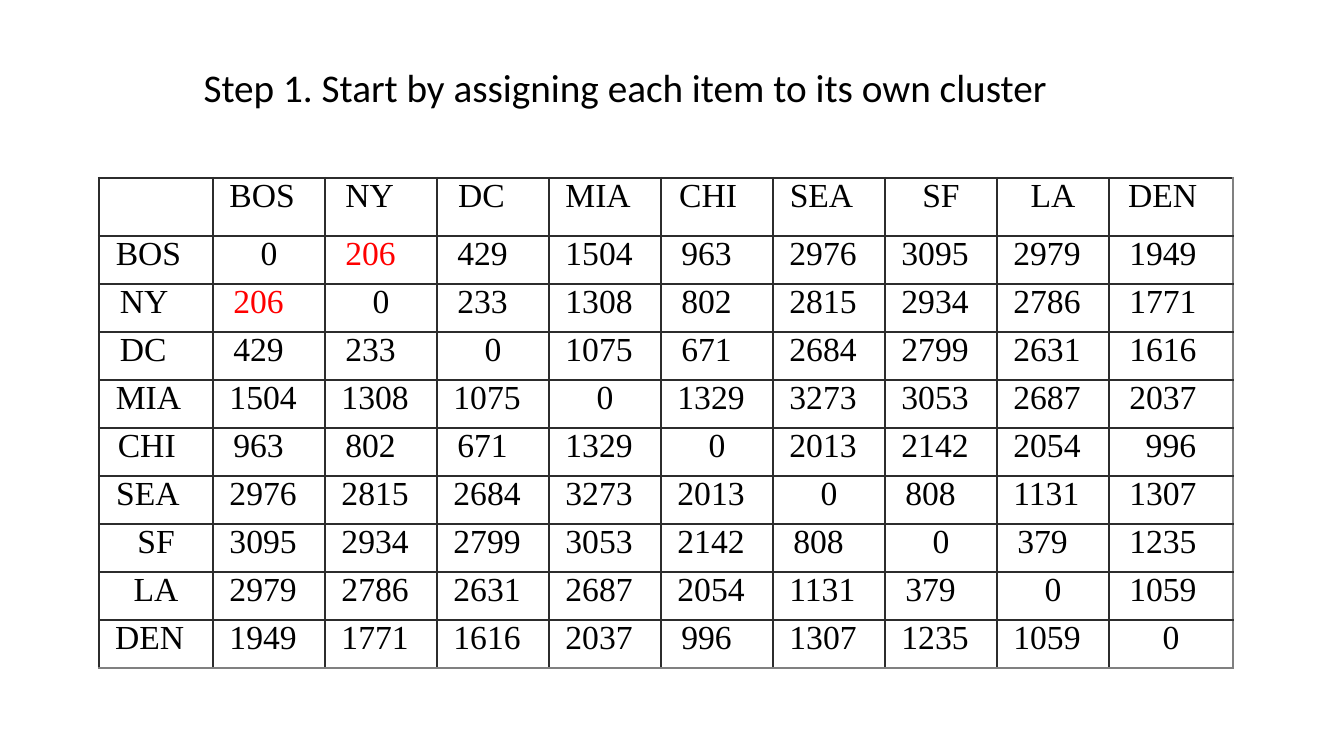
from dataclasses import dataclass

from lxml import etree
from pptx import Presentation
from pptx.dml.color import RGBColor
from pptx.enum.text import MSO_ANCHOR, MSO_AUTO_SIZE, PP_ALIGN
from pptx.oxml.ns import qn
from pptx.util import Pt

TOP = MSO_ANCHOR.TOP
GROW = MSO_AUTO_SIZE.SHAPE_TO_FIT_TEXT
LEFT, CENTER = PP_ALIGN.LEFT, PP_ALIGN.CENTER

BLACK, RED = "000000", "FF0000"
INNER_LINE, OUTER_LINE = "2C2C2C", "808080"
LINE_WIDTH = 1.6
FIRST_COLUMN, MIDDLE_COLUMN, LAST_COLUMN = 81.5, 80, 88.5
HEADER_ROW, DISTANCE_ROW = 41.3, 34.3
NARROW_INDENT, WIDE_INDENT = 11.7, 14.5
NEAREST = 206


@dataclass(frozen=True)
class City:
    name: str
    column_indent: float | None
    row_indent: float | None
    distances_to_later: tuple[int, ...]


CITIES = (
    City("BOS", 11.7, 12, (206, 429, 1504, 963, 2976, 3095, 2979, 1949)),
    City("NY", 14.5, 15, (233, 1308, 802, 2815, 2934, 2786, 1771)),
    City("DC", 15, 15, (1075, 671, 2684, 2799, 2631, 1616)),
    City("MIA", 11.7, 12, (1329, 3273, 3053, 2687, 2037)),
    City("CHI", 13, 13.5, (2013, 2142, 2054, 996)),
    City("SEA", 12, 12.3, (808, 1131, 1307)),
    City("SF", None, None, (379, 1235)),
    City("LA", None, None, (1059,)),
    City("DEN", 13.7, 11.5, ()),
)
LAST = len(CITIES)


def rgb(value: str) -> RGBColor:
    return RGBColor.from_string(value)


def apply(target: object, values: dict) -> None:
    for attribute, value in values.items():
        setattr(target, attribute, value)


def distance(first: int, second: int) -> int:
    near, far = sorted((first, second))
    return 0 if near == far else CITIES[near].distances_to_later[far - near - 1]


def distance_indent(miles: int, column: int) -> float | None:
    if miles == 0 or (column == LAST and miles < 1000):
        return None
    return WIDE_INDENT if miles < 1000 or column == LAST else NARROW_INDENT


def draw_borders(cell, row: int, column: int) -> None:
    properties = cell._tc.get_or_add_tcPr()
    colours = {
        "a:lnL": INNER_LINE,
        "a:lnR": OUTER_LINE if column == LAST else INNER_LINE,
        "a:lnT": INNER_LINE,
        "a:lnB": OUTER_LINE if row == LAST else INNER_LINE,
    }
    for position, (side, colour) in enumerate(colours.items()):
        line = etree.Element(qn(side), w=str(Pt(LINE_WIDTH)))
        fill = etree.SubElement(line, qn("a:solidFill"))
        etree.SubElement(fill, qn("a:srgbClr"), val=colour)
        properties.insert(position, line)


def write_label(cell, label: str, indent: float | None, colour: str = BLACK) -> None:
    paragraph = cell.text_frame.paragraphs[0]
    paragraph.text = label
    if indent is None:
        paragraph.alignment = CENTER
    else:
        paragraph._p.get_or_add_pPr().set("marL", str(Pt(indent)))
    apply(paragraph.font, {"name": "Times New Roman", "size": Pt(24)})
    paragraph.font.color.rgb = rgb(colour)


def fill_cell(cell, row: int, column: int) -> None:
    apply(cell, {
        "margin_left": 0, "margin_right": 0, "margin_top": 0,
        "margin_bottom": 0, "vertical_anchor": TOP,
    })
    cell.fill.background()
    draw_borders(cell, row, column)
    if row and column:
        miles = distance(row - 1, column - 1)
        write_label(cell, str(miles), distance_indent(miles, column),
                    RED if miles == NEAREST else BLACK)
    elif column:
        city = CITIES[column - 1]
        write_label(cell, city.name, city.column_indent)
    elif row:
        city = CITIES[row - 1]
        write_label(cell, city.name, city.row_indent)


def add_step_title(slide) -> None:
    step = slide.shapes.title
    apply(step, {"left": Pt(138.2), "top": Pt(41.8), "width": Pt(623.5), "height": Pt(41)})
    step.text_frame.text = "Step 1. Start by assigning each item to its own cluster"
    apply(step.text_frame, {"word_wrap": False, "auto_size": GROW, "vertical_anchor": TOP})
    sentence = step.text_frame.paragraphs[0]
    sentence.alignment = LEFT
    apply(sentence.font, {"name": "Calibri", "size": Pt(28)})
    sentence.font.color.rgb = rgb(BLACK)


def add_distance_matrix(slide) -> None:
    widths = [FIRST_COLUMN] + [MIDDLE_COLUMN] * (LAST - 1) + [LAST_COLUMN]
    heights = [HEADER_ROW] + [DISTANCE_ROW] * LAST
    matrix = slide.shapes.add_table(
        len(heights), len(widths), Pt(70.7), Pt(127), Pt(sum(widths)), Pt(sum(heights))
    ).table
    apply(matrix, {"first_row": False, "horz_banding": False})
    for column, width in zip(matrix.columns, widths):
        column.width = Pt(width)
    for row, height in zip(matrix.rows, heights):
        row.height = Pt(height)
    for row in range(len(heights)):
        for column in range(len(widths)):
            fill_cell(matrix.cell(row, column), row, column)


def main() -> None:
    presentation = Presentation()
    apply(presentation, {"slide_width": Pt(960), "slide_height": Pt(540)})
    slide = presentation.slides.add_slide(presentation.slide_layouts[5])
    add_step_title(slide)
    add_distance_matrix(slide)
    presentation.save("out.pptx")


if __name__ == "__main__":
    main()
